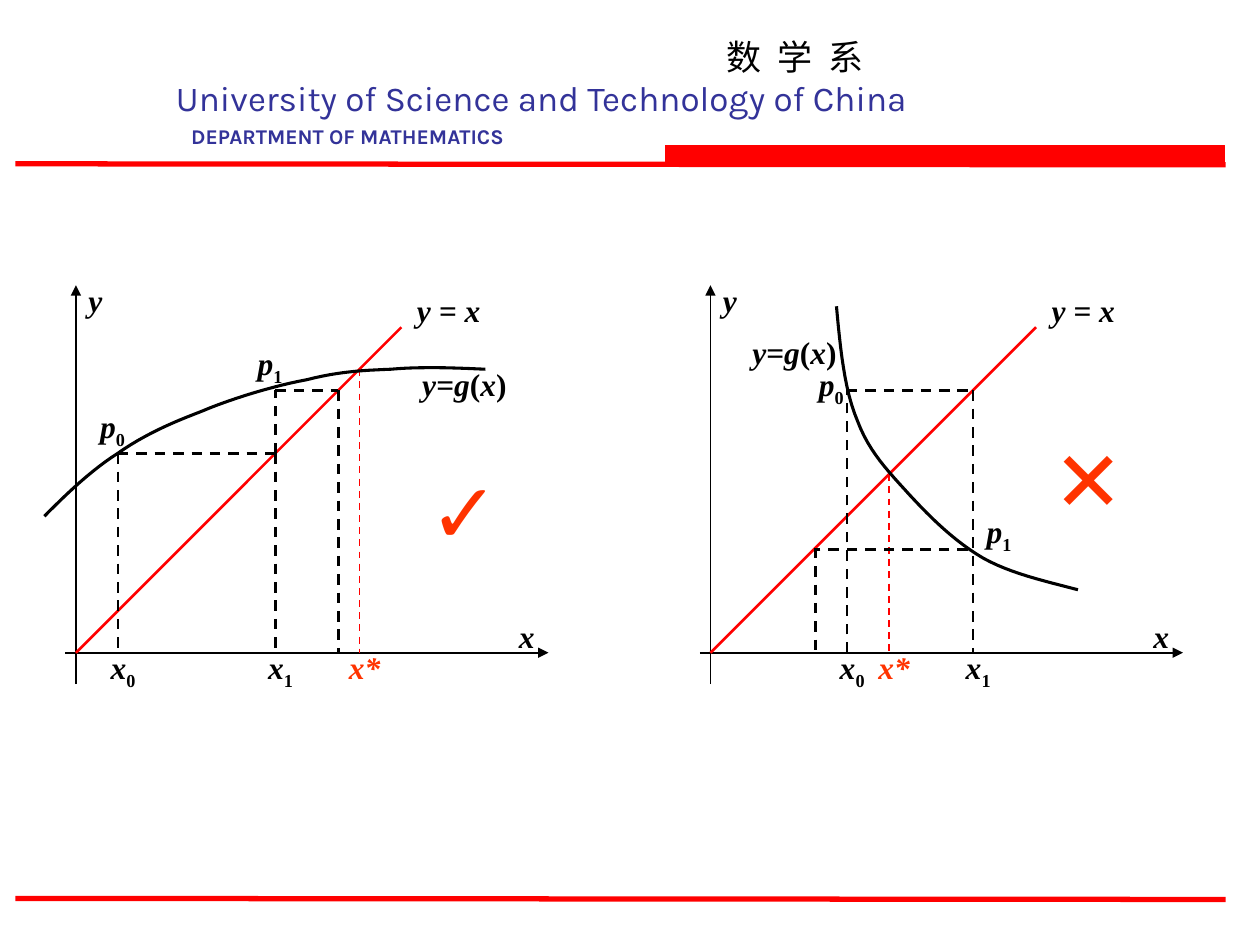
from itertools import groupby

from lxml import etree
from pptx import Presentation
from pptx.dml.color import RGBColor
from pptx.enum import dml, shapes, text
from pptx.oxml import ns
from pptx.util import Pt

BLACK = RGBColor(0x00, 0x00, 0x00)
RED = RGBColor(0xFF, 0x00, 0x00)
ORANGE = RGBColor(0xFF, 0x33, 0x00)
NAVY = RGBColor(0x33, 0x33, 0x99)
LEFT, CENTER = text.PP_ALIGN.LEFT, text.PP_ALIGN.CENTER
SERIF = "Times New Roman"

# wording, (left, top, width, height), size, font, colour, bold, alignment, letter spacing
HEADER = [
    ("数 学 系", (408.2, 16.6, 92.2, 31.7), 20, "Noto Sans CJK SC", BLACK, False, CENTER, 2.25),
    ("University of Science and Technology of China", (86.4, 40.3, 446.4, 31.7),
     20, "Karla", NAVY, False, CENTER, 0),
    ("DEPARTMENT OF MATHEMATICS", (102.2, 67, 205.2, 21.6), 12, "Karla", NAVY, True, LEFT, 0),
]
RULES = [((8.8, 93.6), (700.4, 94.2)), ((8.8, 513.4), (700.4, 514))]
BAR = (380.2, 83, 319.7, 10.8)

# Graph coordinates are points right of and above the origin.
BASELINE = 373
AXES = [((-6, 0), (270, 0)), ((0, -18), (0, 210))]
DIAGONAL = ((0, 0), (186, 186))
AXIS_LABELS = [("x", (246, 24), 24, LEFT), ("y", (0, 216), 24, LEFT),
               ("y = x", (186, 210), 54, CENTER)]

# A curve is a start point followed by Bezier triples.
GRAPHS = [
    {
        "origin": 43.4,
        "curve": [(-18, 78), (-4.6, 91.5), (9, 104.4), (24, 114),
                  (39.3, 124.6), (53.7, 131), (72, 138),
                  (89.7, 145.5), (114, 152.7), (132, 156),
                  (150, 160.6), (163, 161.3), (180, 162),
                  (197, 163.5), (215.7, 162.8), (234, 162)],
        "curve_label": (186, 168),
        "fixed_point": 162,
        "iterates": {"x0": 24, "x1": 114},
        "points": {"p0": (6, 144), "p1": (96, 180)},
        "steps": [((24, 114), (24, 0)), ((24, 114), (114, 114)), ((114, 114), (114, 0)),
                  ((114, 114), (114, 150)), ((114, 150), (150, 150)), ((150, 150), (150, 0))],
        "verdict": ("✓", (186, 114), True),
    },
    {
        "origin": 406,
        "curve": [(72, 198), (74.2, 174.3), (76.4, 150.5), (84, 132.5),
                  (90.8, 114.5), (101.6, 103.7), (114, 90),
                  (126, 77), (139.8, 63.4), (156, 54),
                  (171.4, 45.4), (190.9, 41), (210, 36)],
        "curve_label": (12, 186),
        "fixed_point": 102,
        "iterates": {"x0": 78, "x1": 150},
        "points": {"p0": (54, 168), "p1": (150, 84)},
        "steps": [((78, 150), (150, 150)), ((78, 0), (78, 150)), ((150, 150), (150, 0)),
                  ((147, 59), (60, 59)), ((60, 60), (60, 0))],
        "verdict": ("✕", (180, 132), False),
    },
]


def add_line(slide, start, end, color, width, dashed=False, arrow=False):
    line = slide.shapes.add_connector(shapes.MSO_CONNECTOR.STRAIGHT,
                                      *(Pt(v) for v in (*start, *end)))
    line.line.color.rgb = color
    line.line.width = Pt(width)
    if dashed:
        line.line.dash_style = dml.MSO_LINE.DASH
    properties = line._element.spPr
    if arrow:
        etree.SubElement(properties.find(ns.qn("a:ln")), ns.qn("a:tailEnd"), type="triangle")
    etree.SubElement(properties, ns.qn("a:effectLst"))


def add_text(slide, box, align, wrap=True):
    """Add an empty text box and return its paragraph."""
    frame = slide.shapes.add_textbox(*(Pt(v) for v in box)).text_frame
    frame.word_wrap = wrap
    frame.auto_size = text.MSO_AUTO_SIZE.SHAPE_TO_FIT_TEXT
    paragraph = frame.paragraphs[0]
    paragraph.alignment = align
    return paragraph


def add_run(paragraph, words, size, font, color, bold, italic=False):
    run = paragraph.add_run()
    run.text = words
    run.font.size = Pt(size)
    run.font.name = font
    run.font.color.rgb = color
    run.font.bold = bold
    run.font.italic = italic
    properties = run._r.get_or_add_rPr()
    etree.SubElement(properties, ns.qn("a:ea"), typeface=font)
    return properties


def add_formula(slide, words, box, align=CENTER, color=BLACK):
    """Set letters in italics, brackets upright and digits as subscripts."""
    def style(char):
        return char not in "()" and not char.isdigit(), char.isdigit()

    paragraph = add_text(slide, box, align)
    for (italic, subscript), chars in groupby(words, style):
        properties = add_run(paragraph, "".join(chars), 18, SERIF, color, True, italic)
        if subscript:
            properties.set("baseline", "-25000")


def bezier_points(curve, steps=12):
    """Yield points along each cubic piece after the curve's start."""
    for i in range(0, len(curve) - 1, 3):
        a, b, c, d = curve[i:i + 4]
        for step in range(1, steps + 1):
            t = step / steps
            s = 1 - t
            yield tuple(s**3 * a[k] + 3 * s * s * t * b[k] + 3 * s * t * t * c[k] + t**3 * d[k]
                        for k in (0, 1))


def add_graph(slide, graph):
    def place(point):
        return graph["origin"] + point[0], BASELINE - point[1]

    def line(ends, *style, **options):
        add_line(slide, *map(place, ends), *style, **options)

    def label(words, corner, width, height=28.8, **options):
        add_formula(slide, words, (*place(corner), width, height), **options)

    for axis in AXES:
        line(axis, BLACK, 1, arrow=True)
    for words, corner, width, align in AXIS_LABELS:
        label(words, corner, width, align=align)
    line(DIAGONAL, RED, 1.5)

    root = graph["fixed_point"]
    line(((root, root), (root, 0)), RED, 1, dashed=True)
    label("x*", (root - 18, 6), 42, color=ORANGE)

    start, *rest = [tuple(Pt(v) for v in place(p))
                    for p in (graph["curve"][0], *bezier_points(graph["curve"]))]
    builder = slide.shapes.build_freeform(*start)
    builder.add_line_segments(rest, close=False)
    curve = builder.convert_to_shape()
    curve.shadow.inherit = False
    curve.fill.background()
    curve.line.color.rgb = BLACK
    curve.line.width = Pt(1.75)
    label("y=g(x)", graph["curve_label"], 72)

    for step in graph["steps"]:
        line(step, BLACK, 1.5, dashed=True)
    for words, x in graph["iterates"].items():
        label(words, (x - 12, 6), 30, 31.7)
    for words, corner in graph["points"].items():
        label(words, corner, 30, 31.7)

    mark, corner, bold = graph["verdict"]
    paragraph = add_text(slide, (*place(corner), 72, 64.8), CENTER)
    add_run(paragraph, mark, 48, "Arial", ORANGE, bold)


def main():
    deck = Presentation()
    deck.slide_width, deck.slide_height = Pt(720), Pt(540)
    slide = deck.slides.add_slide(deck.slide_layouts[6])

    for words, box, size, font, color, bold, align, spacing in HEADER:
        paragraph = add_text(slide, box, align, wrap=False)
        properties = add_run(paragraph, words, size, font, color, bold)
        if spacing:
            properties.set("spc", str(round(spacing * 100)))
    for start, end in RULES:
        add_line(slide, start, end, RED, 3)
    bar = slide.shapes.add_shape(shapes.MSO_SHAPE.RECTANGLE, *(Pt(v) for v in BAR))
    bar.shadow.inherit = False
    bar.fill.solid()
    bar.fill.fore_color.rgb = RED
    bar.line.color.rgb = RED
    bar.line.width = Pt(0.75)

    for graph in GRAPHS:
        add_graph(slide, graph)
    deck.save("out.pptx")


if __name__ == "__main__":
    main()
